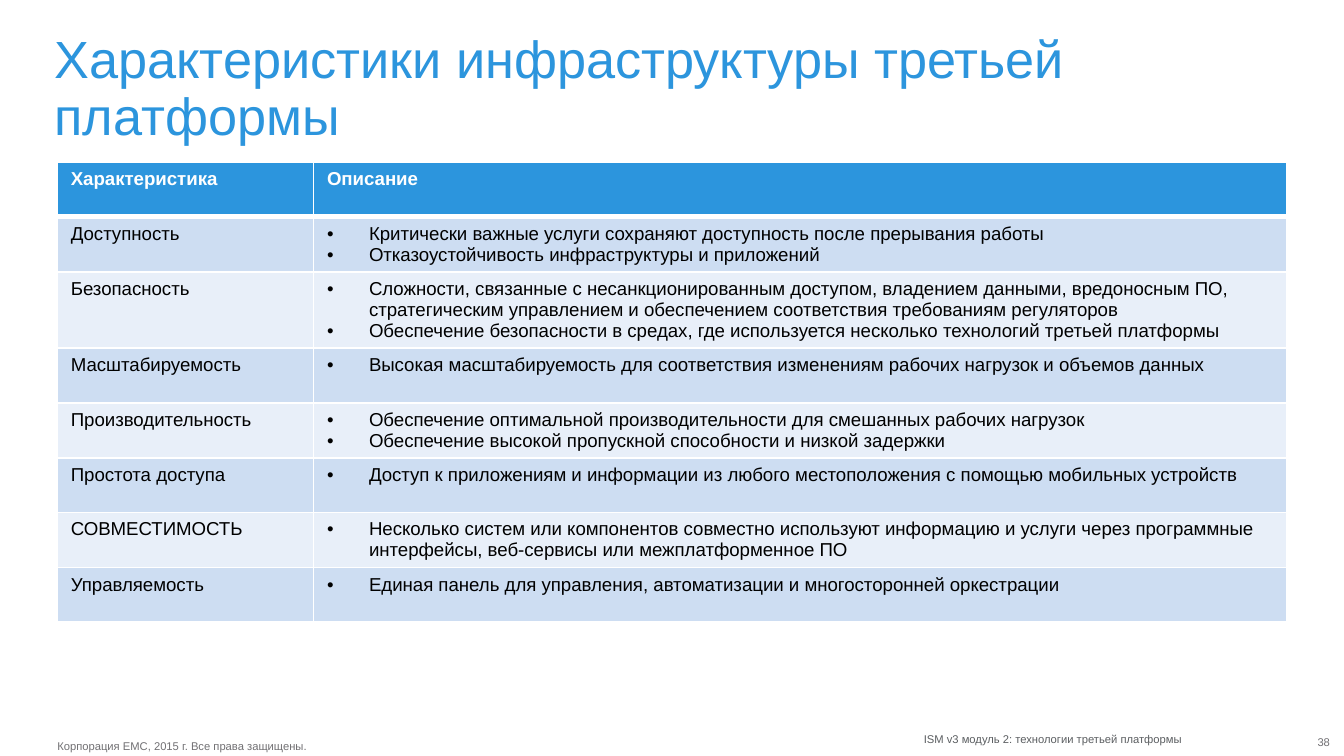
from dataclasses import dataclass

from lxml.etree import SubElement
from pptx import Presentation
from pptx.dml.color import RGBColor
from pptx.enum.text import MSO_ANCHOR, MSO_AUTO_SIZE, PP_ALIGN
from pptx.oxml.ns import qn
from pptx.slide import Slide
from pptx.table import _Cell
from pptx.text.text import TextFrame, _Paragraph
from pptx.util import Emu, Pt

EMU_PER_PX = 9525  # 96 px to the inch
FONT = "Arial"
COLORS = {
    "accent": "2C95DD",
    "white": "FFFFFF",
    "black": "000000",
    "band_dark": "CDDDF2",
    "band_light": "E8EFF9",
    "copyright": "717073",
    "module": "5B5E61",
    "number": "717074",
}
COLUMN_WIDTHS = (183, 695)
ROW_HEIGHT = 39
BULLET_INDENT = 30


@dataclass(frozen=True)
class Characteristic:
    name: str
    points: tuple[str, ...]


@dataclass(frozen=True)
class FooterText:
    text: str
    left: int
    top: int
    width: int
    color: str
    align: PP_ALIGN


CHARACTERISTICS = (
    Characteristic("Доступность", (
        "Критически важные услуги сохраняют доступность после прерывания работы",
        "Отказоустойчивость инфраструктуры и приложений",
    )),
    Characteristic("Безопасность", (
        "Сложности, связанные с несанкционированным доступом, владением данными, "
        "вредоносным ПО, стратегическим управлением и обеспечением соответствия "
        "требованиям регуляторов",
        "Обеспечение безопасности в средах, где используется несколько технологий "
        "третьей платформы",
    )),
    Characteristic("Масштабируемость", (
        "Высокая масштабируемость для соответствия изменениям рабочих нагрузок "
        "и объемов данных",
    )),
    Characteristic("Производительность", (
        "Обеспечение оптимальной производительности для смешанных рабочих нагрузок",
        "Обеспечение высокой пропускной способности и низкой задержки",
    )),
    Characteristic("Простота доступа", (
        "Доступ к приложениям и информации из любого местоположения с помощью "
        "мобильных устройств",
    )),
    Characteristic("СОВМЕСТИМОСТЬ", (
        "Несколько систем или компонентов совместно используют информацию и услуги "
        "через программные интерфейсы, веб-сервисы или межплатформенное ПО",
    )),
    Characteristic("Управляемость", (
        "Единая панель для управления, автоматизации и многосторонней оркестрации",
    )),
)

FOOTERS = (
    FooterText("Корпорация EMC, 2015 г. Все права защищены.",
               41, 528, 183, "copyright", PP_ALIGN.LEFT),
    FooterText("ISM v3 модуль 2: технологии третьей платформы",
               656, 523, 188, "module", PP_ALIGN.RIGHT),
    FooterText("38", 920, 525, 30, "number", PP_ALIGN.RIGHT),
)


def px(length: int) -> Emu:
    return Emu(length * EMU_PER_PX)


def rgb(color: str) -> RGBColor:
    return RGBColor.from_string(COLORS[color])


def add_run(paragraph: _Paragraph, text: str, size: int, color: str,
            bold: bool = False) -> None:
    run = paragraph.add_run()
    run.text = text
    run.font.name = FONT
    run.font.size = Pt(size)
    run.font.bold = bold
    run.font.color.rgb = rgb(color)


def prepare_frame(frame: TextFrame) -> None:
    """Remove the margins, wrap the text and start it at the top."""
    frame.margin_left = frame.margin_right = 0
    frame.margin_top = frame.margin_bottom = 0
    frame.word_wrap = True
    frame.auto_size = MSO_AUTO_SIZE.NONE
    frame.vertical_anchor = MSO_ANCHOR.TOP


def add_title(slide: Slide, text: str) -> None:
    title = slide.shapes.title
    title.left, title.top, title.width, title.height = map(px, (39, 24, 888, 48))
    prepare_frame(title.text_frame)
    paragraph = title.text_frame.paragraphs[0]
    paragraph.alignment = PP_ALIGN.LEFT
    paragraph.line_spacing = 0.9
    add_run(paragraph, text, 28, "accent")


def add_footer(slide: Slide, footer: FooterText) -> None:
    box = slide.shapes.add_textbox(
        px(footer.left), px(footer.top), px(footer.width), px(10))
    prepare_frame(box.text_frame)
    paragraph = box.text_frame.paragraphs[0]
    paragraph.alignment = footer.align
    add_run(paragraph, footer.text, 6, footer.color)


def add_bullet(paragraph: _Paragraph) -> None:
    properties = paragraph._p.get_or_add_pPr()
    properties.set("marL", str(px(BULLET_INDENT)))
    properties.set("indent", str(-px(BULLET_INDENT)))
    SubElement(properties, qn("a:buFont"), typeface=FONT)
    SubElement(properties, qn("a:buChar"), char="•")


def style_cell(cell: _Cell, fill: str, top: int = 1, bottom: int = 1) -> None:
    """Set white borders, with top and bottom widths in points, and the fill."""
    properties = cell._tc.get_or_add_tcPr()
    for tag, width in (("lnL", 1), ("lnR", 1), ("lnT", top), ("lnB", bottom)):
        line = SubElement(properties, qn(f"a:{tag}"), w=str(Pt(width)))
        solid = SubElement(line, qn("a:solidFill"))
        SubElement(solid, qn("a:srgbClr"), val=COLORS["white"])
    cell.fill.solid()
    cell.fill.fore_color.rgb = rgb(fill)


def add_characteristics_table(slide: Slide) -> None:
    row_count = len(CHARACTERISTICS) + 1
    table = slide.shapes.add_table(
        row_count, len(COLUMN_WIDTHS), px(41), px(116),
        px(sum(COLUMN_WIDTHS)), px(ROW_HEIGHT * row_count)).table
    for column, width in zip(table.columns, COLUMN_WIDTHS):
        column.width = px(width)

    for index, heading in enumerate(("Характеристика", "Описание")):
        cell = table.cell(0, index)
        style_cell(cell, "accent", bottom=3)
        add_run(cell.text_frame.paragraphs[0], heading, 10, "white", bold=True)

    for row, item in enumerate(CHARACTERISTICS, start=1):
        name_cell, points_cell = table.cell(row, 0), table.cell(row, 1)
        for cell in (name_cell, points_cell):
            style_cell(cell, "band_dark" if row % 2 else "band_light",
                       top=3 if row == 1 else 1)
        add_run(name_cell.text_frame.paragraphs[0], item.name, 10, "black")
        frame = points_cell.text_frame
        for index, point in enumerate(item.points):
            paragraph = frame.add_paragraph() if index else frame.paragraphs[0]
            add_bullet(paragraph)
            add_run(paragraph, point, 10, "black")


def main() -> None:
    presentation = Presentation()
    presentation.slide_width, presentation.slide_height = px(960), px(540)
    slide = presentation.slides.add_slide(presentation.slide_layouts[5])
    add_title(slide, "Характеристики инфраструктуры третьей платформы")
    add_characteristics_table(slide)
    for footer in FOOTERS:
        add_footer(slide, footer)
    presentation.save("out.pptx")


if __name__ == "__main__":
    main()
